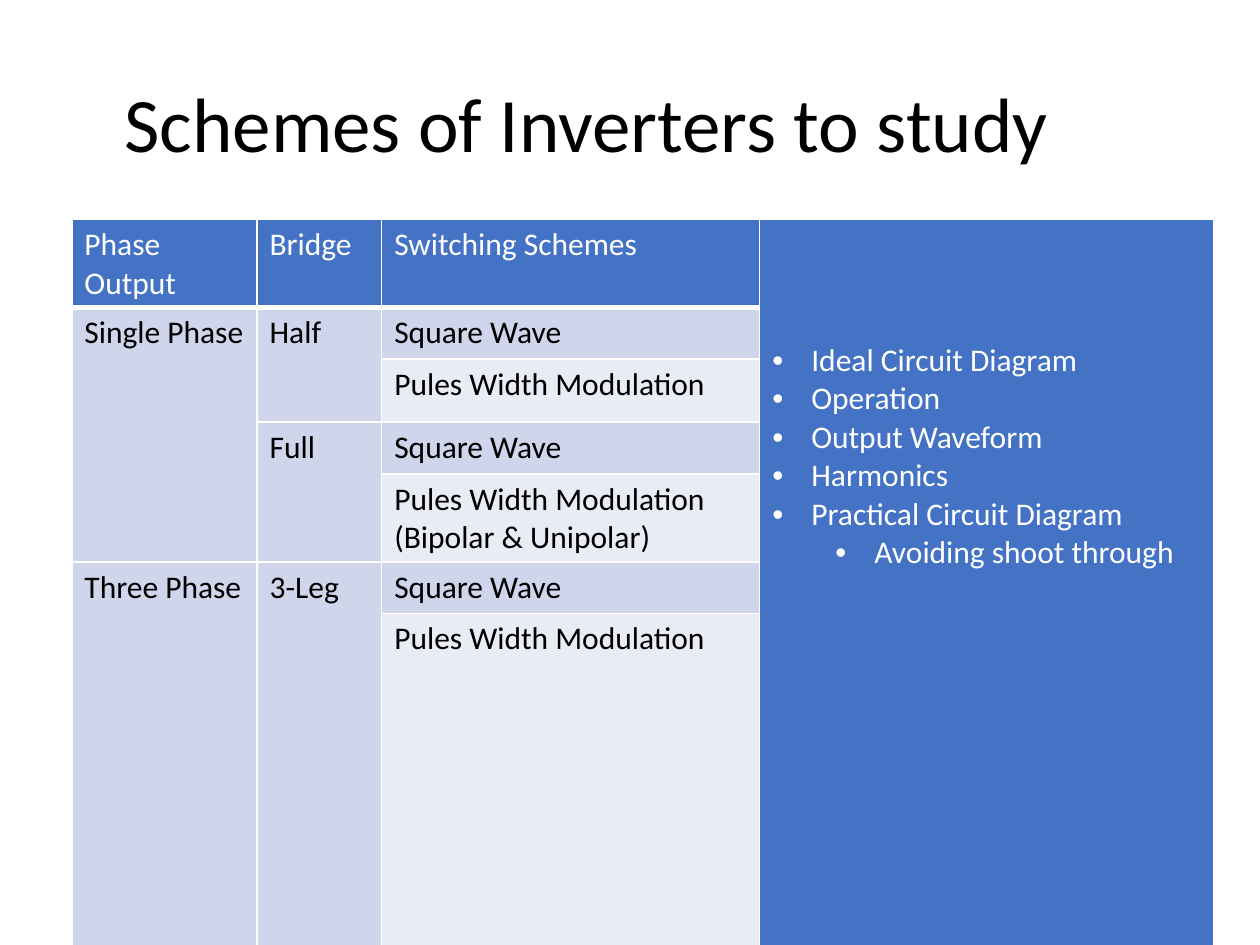
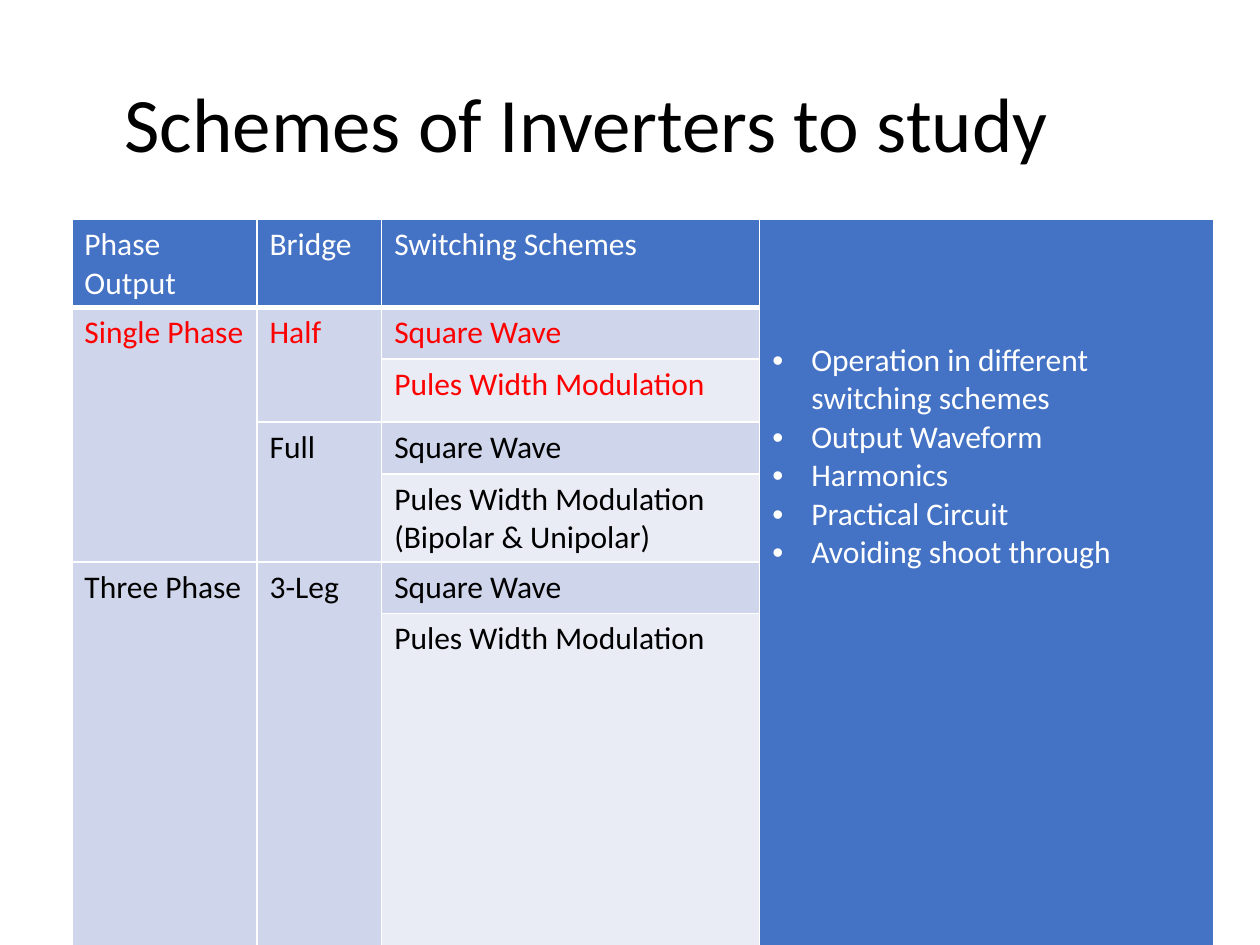
import lxml.etree
import pptx
import pptx.dml.color
import pptx.enum.text
import pptx.oxml.ns
import pptx.util

Inches = pptx.util.Inches
Pt = pptx.util.Pt
qn = pptx.oxml.ns.qn

FONT = "Calibri"
BLACK, WHITE, RED = "000000", "FFFFFF", "FF0000"
HEADER_FILL, BAND_DARK, BAND_LIGHT = "4472C4", "CFD5EA", "E9EBF5"

TITLE = "Schemes of Inverters to study"
TITLE_BOX = (0.89, 0.29, 8.62, 1.45)
TABLE_CORNER = (0.57, 1.74)
COLUMN_WIDTHS = (1.47, 0.99, 3, 3.6)
ROW_HEIGHTS = (0.7, 0.41, 0.5, 0.41, 0.7, 0.41, 2.63)
TOPICS_COLUMN = 3
TOPICS_TOP = 0.97

SCHEMES = {
    (0, 0): "Phase Output", (0, 1): "Bridge", (0, 2): "Switching Schemes",
    (1, 0): "Single Phase", (1, 1): "Half", (1, 2): "Square Wave",
    (2, 2): "Pules Width Modulation",
    (3, 1): "Full", (3, 2): "Square Wave",
    (4, 2): "Pules Width Modulation\n(Bipolar & Unipolar)",
    (5, 0): "Three Phase", (5, 1): "3-Leg", (5, 2): "Square Wave",
    (6, 2): "Pules Width Modulation",
}
SPANS = [(0, 6, TOPICS_COLUMN), (1, 4, 0), (1, 2, 1), (3, 4, 1), (5, 6, 0), (5, 6, 1)]

SLIDES = [
    {"topics": [("Ideal Circuit Diagram", 0), ("Operation", 0), ("Output Waveform", 0),
                ("Harmonics", 0), ("Practical Circuit Diagram", 0),
                ("Avoiding shoot through", 1)],
     "highlighted_rows": ()},
    {"topics": [("Operation in different switching schemes", 0), ("Output Waveform", 0),
                ("Harmonics", 0), ("Practical Circuit", 0), ("Avoiding shoot through", 0)],
     "highlighted_rows": (1, 2)},
]


def rgb(value):
    return pptx.dml.color.RGBColor.from_string(value)


def style_text(frame, size, color):
    for paragraph in frame.paragraphs:
        for run in paragraph.runs:
            run.font.name = FONT
            run.font.size = Pt(size)
            run.font.bold = False
            run.font.color.rgb = rgb(color)


def add_title(slide, box):
    heading = slide.shapes.add_textbox(*map(Inches, box)).text_frame
    heading.word_wrap = True
    heading.vertical_anchor = pptx.enum.text.MSO_ANCHOR.MIDDLE
    heading.text = TITLE
    heading.paragraphs[0].line_spacing = 0.9
    style_text(heading, 44, BLACK)


def add_borders(cell, bottom_width):
    properties = cell._tc.get_or_add_tcPr()
    for side, width in (("L", 1), ("R", 1), ("T", 1), ("B", bottom_width)):
        line = lxml.etree.SubElement(properties, qn(f"a:ln{side}"), w=str(Pt(width)))
        solid = lxml.etree.SubElement(line, qn("a:solidFill"))
        lxml.etree.SubElement(solid, qn("a:srgbClr"), val=WHITE)


def scheme_fill(row, column):
    if row == 0 or column == TOPICS_COLUMN:
        return HEADER_FILL
    return BAND_LIGHT if column == 2 and row % 2 == 0 else BAND_DARK


def scheme_color(row, highlighted_rows):
    if row == 0:
        return WHITE
    return RED if row in highlighted_rows else BLACK


def fill_topics(cell, topics):
    cell.margin_top = Inches(TOPICS_TOP)
    frame = cell.text_frame
    frame.text = "\n".join(topic for topic, level in topics)
    for paragraph, (topic, level) in zip(frame.paragraphs, topics):
        paragraph.level = level
        properties = paragraph._p.get_or_add_pPr()
        properties.set("marL", str(Inches(0.31 + 0.5 * level)))
        properties.set("indent", str(Inches(-0.31)))
        lxml.etree.SubElement(properties, qn("a:buFont"), typeface="Arial")
        lxml.etree.SubElement(properties, qn("a:buChar"), char="•")
    style_text(frame, 18, WHITE)


def add_scheme_table(slide, corner, topics, highlighted_rows):
    size = (sum(COLUMN_WIDTHS), sum(ROW_HEIGHTS))
    table = slide.shapes.add_table(len(ROW_HEIGHTS), len(COLUMN_WIDTHS),
                                   *map(Inches, corner + size)).table
    table.first_row = False
    table.horz_banding = False
    for column, width in zip(table.columns, COLUMN_WIDTHS):
        column.width = Inches(width)
    for row, height in zip(table.rows, ROW_HEIGHTS):
        row.height = Inches(height)

    for row in range(len(ROW_HEIGHTS)):
        for column in range(len(COLUMN_WIDTHS)):
            cell = table.cell(row, column)
            add_borders(cell, 3 if row == 0 else 1)
            cell.fill.solid()
            cell.fill.fore_color.rgb = rgb(scheme_fill(row, column))
    for first, last, column in SPANS:
        table.cell(first, column).merge(table.cell(last, column))
    for (row, column), label in SCHEMES.items():
        frame = table.cell(row, column).text_frame
        frame.text = label
        style_text(frame, 18, scheme_color(row, highlighted_rows))
    fill_topics(table.cell(0, TOPICS_COLUMN), topics)


def main():
    deck = pptx.Presentation()
    deck.slide_width, deck.slide_height = Inches(10), Inches(7.5)
    for content in SLIDES:
        slide = deck.slides.add_slide(deck.slide_layouts[6])
        add_title(slide, TITLE_BOX)
        add_scheme_table(slide, TABLE_CORNER, **content)
    deck.save("out.pptx")


if __name__ == "__main__":
    main()
